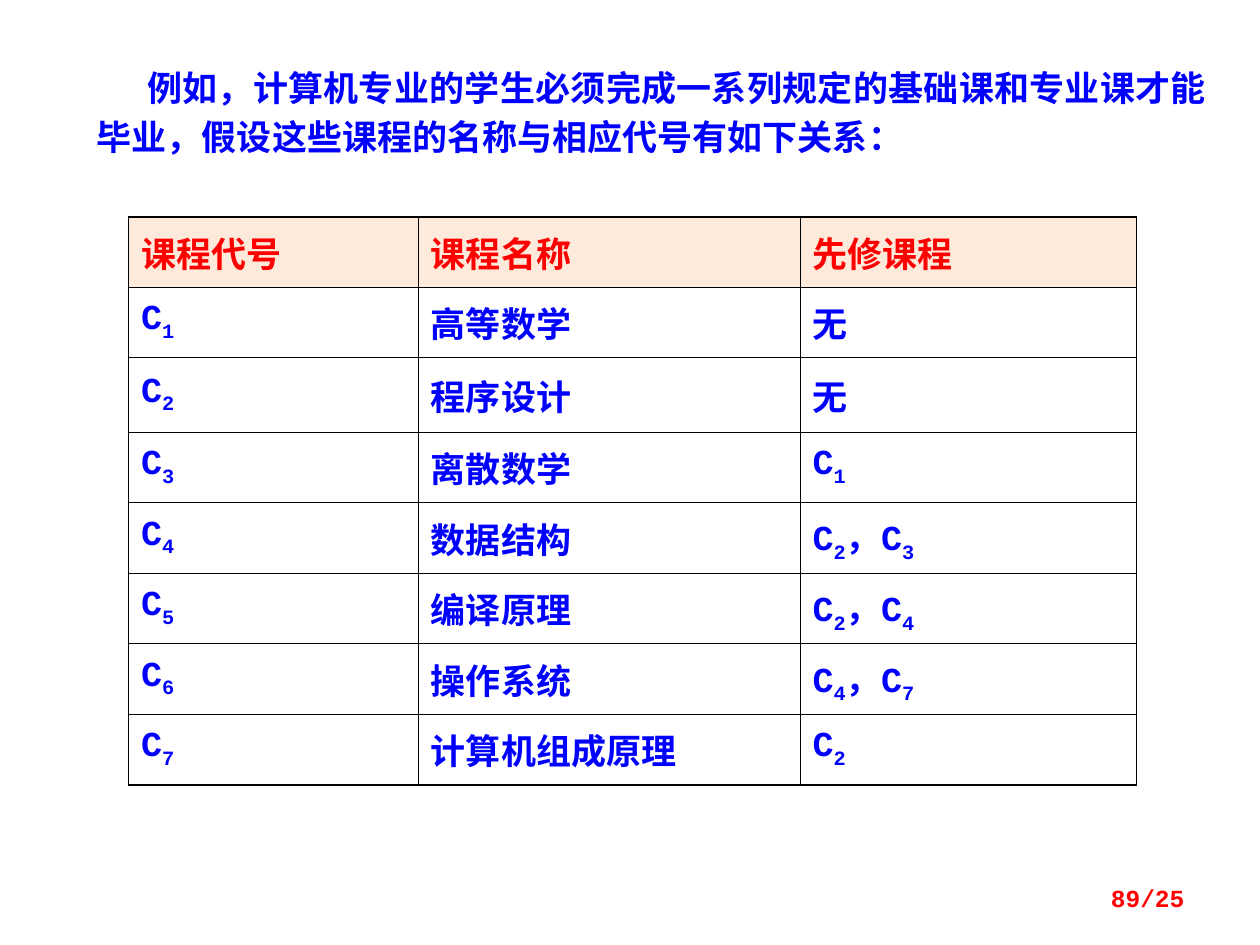
"""Build the slide listing course codes, names and prerequisites."""
from itertools import groupby
from typing import NamedTuple

from lxml.etree import SubElement
from pptx import Presentation
from pptx.dml.color import RGBColor
from pptx.enum.text import MSO_ANCHOR, PP_ALIGN
from pptx.oxml.ns import qn
from pptx.util import Inches, Pt

BLUE = RGBColor(0x00, 0x00, 0xFF)
RED = RGBColor(0xFF, 0x00, 0x00)
BLACK = RGBColor(0x00, 0x00, 0x00)
PEACH = RGBColor(0xFD, 0xEA, 0xDA)
THICK = Pt(1.08)
THIN = Pt(0.45)
COLUMN_WIDTHS = (2.3, 3.03, 2.67)
ROW_HEIGHT = 0.56
TALL_ROW, TALL_HEIGHT = 2, 0.59


class Course(NamedTuple):
    code: str
    title: str
    prerequisites: str


COURSES = (
    Course("课程代号", "课程名称", "先修课程"),
    Course("C1", "高等数学", "无"),
    Course("C2", "程序设计", "无"),
    Course("C3", "离散数学", "C1"),
    Course("C4", "数据结构", "C2，C3"),
    Course("C5", "编译原理", "C2，C4"),
    Course("C6", "操作系统", "C4，C7"),
    Course("C7", "计算机组成原理", "C2"),
)


def write_text(frame, text: str, *, size: float = 20, font: str = "Courier New",
               color: RGBColor = BLUE, align=PP_ALIGN.JUSTIFY, anchor=None,
               line_spacing=None, indent: float = 0, subscripts: bool = False) -> None:
    frame.word_wrap = True
    if anchor is not None:
        frame.vertical_anchor = anchor
    paragraph = frame.paragraphs[0]
    paragraph.alignment = align
    if line_spacing is not None:
        paragraph.line_spacing = line_spacing
    if indent:
        paragraph._p.get_or_add_pPr().set("indent", str(Inches(indent)))
    pieces = groupby(text, lambda letter: subscripts and letter.isdigit())
    for lowered, letters in pieces:
        run = paragraph.add_run()
        run.text = "".join(letters)
        run.font.size = Pt(size)
        run.font.name = font
        run.font.bold = True
        run.font.color.rgb = color
        if lowered:
            run._r.get_or_add_rPr().set("baseline", "-25000")


def draw_borders(cell, edges: dict[str, bool]) -> None:
    properties = cell._tc.get_or_add_tcPr()
    for side, outer in edges.items():
        border = SubElement(properties, qn(f"a:ln{side}"), w=str(THICK if outer else THIN))
        fill = SubElement(border, qn("a:solidFill"))
        SubElement(fill, qn("a:srgbClr"), val=str(BLACK))


def draw_course_table(slide, courses: tuple[Course, ...]) -> None:
    last_row, last_column = len(courses) - 1, len(COLUMN_WIDTHS) - 1
    heights = [TALL_HEIGHT if row == TALL_ROW else ROW_HEIGHT for row in range(len(courses))]
    table = slide.shapes.add_table(
        len(courses), len(COLUMN_WIDTHS), Inches(1.02), Inches(1.72),
        Inches(sum(COLUMN_WIDTHS)), Inches(sum(heights))).table
    table.first_row = table.horz_banding = False
    for column, width in zip(table.columns, COLUMN_WIDTHS):
        column.width = Inches(width)
    for row, (course, height) in enumerate(zip(courses, heights)):
        table.rows[row].height = Inches(height)
        for column, text in enumerate(course):
            cell = table.cell(row, column)
            cell.vertical_anchor = MSO_ANCHOR.MIDDLE
            draw_borders(cell, {"L": column == 0, "R": column == last_column,
                                "T": row == 0, "B": row == last_row})
            if row == 0:
                cell.fill.solid()
                cell.fill.fore_color.rgb = PEACH
            else:
                cell.fill.background()
            write_text(cell.text_frame, text, color=BLUE if row else RED, subscripts=True)


def add_text(slide, left: float, top: float, width: float, height: float,
             text: str, **text_format) -> None:
    box = slide.shapes.add_textbox(Inches(left), Inches(top), Inches(width), Inches(height))
    write_text(box.text_frame, text, **text_format)


def main() -> None:
    presentation = Presentation()
    presentation.slide_width = Inches(10)
    presentation.slide_height = Inches(7.5)
    slide = presentation.slides.add_slide(presentation.slide_layouts[6])
    draw_course_table(slide, COURSES)
    add_text(slide, 0.67, 0.42, 9, 0.88,
             "例如，计算机专业的学生必须完成一系列规定的基础课和专业课才能毕业，"
             "假设这些课程的名称与相应代号有如下关系：",
             font="Times New Roman", line_spacing=Pt(28), indent=0.4)
    add_text(slide, 7.17, 6.95, 2.33, 0.4, "89/25", size=14, color=RED,
             align=PP_ALIGN.RIGHT, anchor=MSO_ANCHOR.MIDDLE, line_spacing=0.8)
    presentation.save("out.pptx")


if __name__ == "__main__":
    main()
